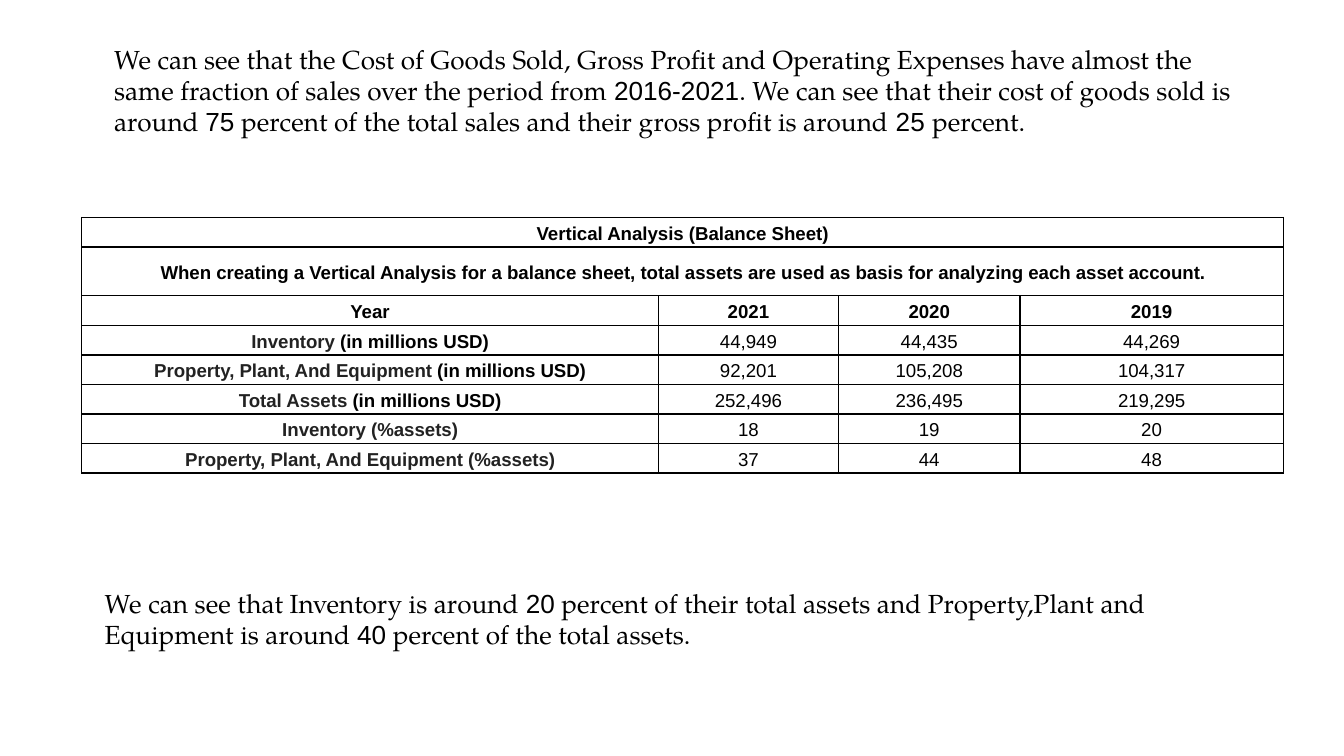
import lxml.etree
import pptx
import pptx.dml.color
import pptx.enum.text
import pptx.oxml.ns
import pptx.util

Pt = pptx.util.Pt
RGB = pptx.dml.color.RGBColor.from_string
qn = pptx.oxml.ns.qn
ANCHOR = pptx.enum.text.MSO_ANCHOR
ALIGN = pptx.enum.text.PP_ALIGN

theme = {
    "serif": "TeX Gyre Pagella", "sans": "Arial",
    "black": "000000", "gray": "222222", "white": "FFFFFF",
    "body": 14, "cell": 10, "line": 0.75,
}


def add_run(para, text, font, size, color, bold=False):
    run = para.add_run()
    run.text = text
    style = {"name": font, "size": Pt(size), "bold": bold}
    for key, value in style.items():
        setattr(run.font, key, value)
    run.font.color.rgb = RGB(color)


def add_edges(cell):
    props = cell._tc.get_or_add_tcPr()
    for side in ("a:lnL", "a:lnR", "a:lnT", "a:lnB"):
        edge = lxml.etree.SubElement(props, qn(side), w=str(Pt(theme["line"])))
        fill = lxml.etree.SubElement(edge, qn("a:solidFill"))
        lxml.etree.SubElement(fill, qn("a:srgbClr"), val=theme["black"])


deck = pptx.Presentation()
deck.slide_width, deck.slide_height = Pt(720), Pt(405)
slide = deck.slides.add_slide(deck.slide_layouts[6])

# Balance sheet content: (gray label, black label), then yearly values
unit = "(in millions USD)"
heads = [
    "Vertical Analysis (Balance Sheet)",
    "When creating a Vertical Analysis for a balance sheet, total assets "
    "are used as basis for analyzing each asset account.",
]
rows = [
    (("", "Year"), "2021", "2020", "2019"),
    (("Inventory ", unit), "44,949", "44,435", "44,269"),
    (("Property, Plant, And Equipment ", unit), "92,201", "105,208", "104,317"),
    (("Total Assets ", unit), "252,496", "236,495", "219,295"),
    (("Inventory (%assets)", ""), "18", "19", "20"),
    (("Property, Plant, And Equipment (%assets)", ""), "37", "44", "48"),
]
rows = [(("", head), "", "", "") for head in heads] + rows
widths = [308.9, 96.5, 97.2, 141.1]
heights = [15.8, 26.2] + [15.8] * 6

# Table frame
frame = slide.shapes.add_table(len(rows), len(widths), Pt(43.8), Pt(116.5),
                               Pt(sum(widths)), Pt(sum(heights)))
table = frame.table
table.first_row = table.horz_banding = False
for col, width in zip(table.columns, widths):
    col.width = Pt(width)
for row, height in zip(table.rows, heights):
    row.height = Pt(height)
for r in range(len(heads)):
    table.cell(r, 0).merge(table.cell(r, len(widths) - 1))

# Table cells
for r, row in enumerate(rows):
    for c, value in enumerate(row):
        cell = table.cell(r, c)
        add_edges(cell)
        middle = r < 3 or (r < 6 and c > 1)
        style = {
            "margin_left": Pt(2.2), "margin_right": Pt(2.2),
            "margin_top": Pt(1.5), "margin_bottom": Pt(1.5),
            "vertical_anchor": ANCHOR.MIDDLE if middle else ANCHOR.BOTTOM,
        }
        for key, item in style.items():
            setattr(cell, key, item)
        if r > 2 and c == 0:
            cell.fill.solid()
            cell.fill.fore_color.rgb = RGB(theme["white"])
        else:
            cell.fill.background()
        para = cell.text_frame.paragraphs[0]
        para.alignment, para.line_spacing = ALIGN.CENTER, 1.15
        parts = value if c == 0 else ("", value)
        for text, color in zip(parts, ("gray", "black")):
            if text:
                add_run(para, text, theme["sans"], theme["cell"],
                        theme[color], c == 0 or r < 3)
        if not any(parts):
            para.font.size = Pt(theme["cell"])

# Commentary: words in serif and figures in sans take turns
notes = [
    ((54, 15.8, 625.7, 65.5), [
        "We can see that the Cost of Goods Sold, Gross Profit and Operating "
        "Expenses have almost the same fraction of sales over the period from ",
        "2016-2021", ". We can see that their cost of goods sold is around ",
        "75", " percent of the total sales and their gross profit is around ",
        "25 ", "percent."]),
    ((49, 307.5, 634.3, 48.2), [
        "We can see that Inventory is around ", "20",
        " percent of their total assets and Property,Plant and Equipment "
        "is around ", "40", " percent of the total assets."]),
]
for place, parts in notes:
    frame = slide.shapes.add_textbox(*map(Pt, place)).text_frame
    frame.word_wrap = True
    for side in ("left", "right", "top", "bottom"):
        setattr(frame, "margin_" + side, Pt(7.2))
    for i, text in enumerate(parts):
        font = theme["sans" if i % 2 else "serif"]
        add_run(frame.paragraphs[0], text, font, theme["body"], theme["black"])

deck.save("out.pptx")
